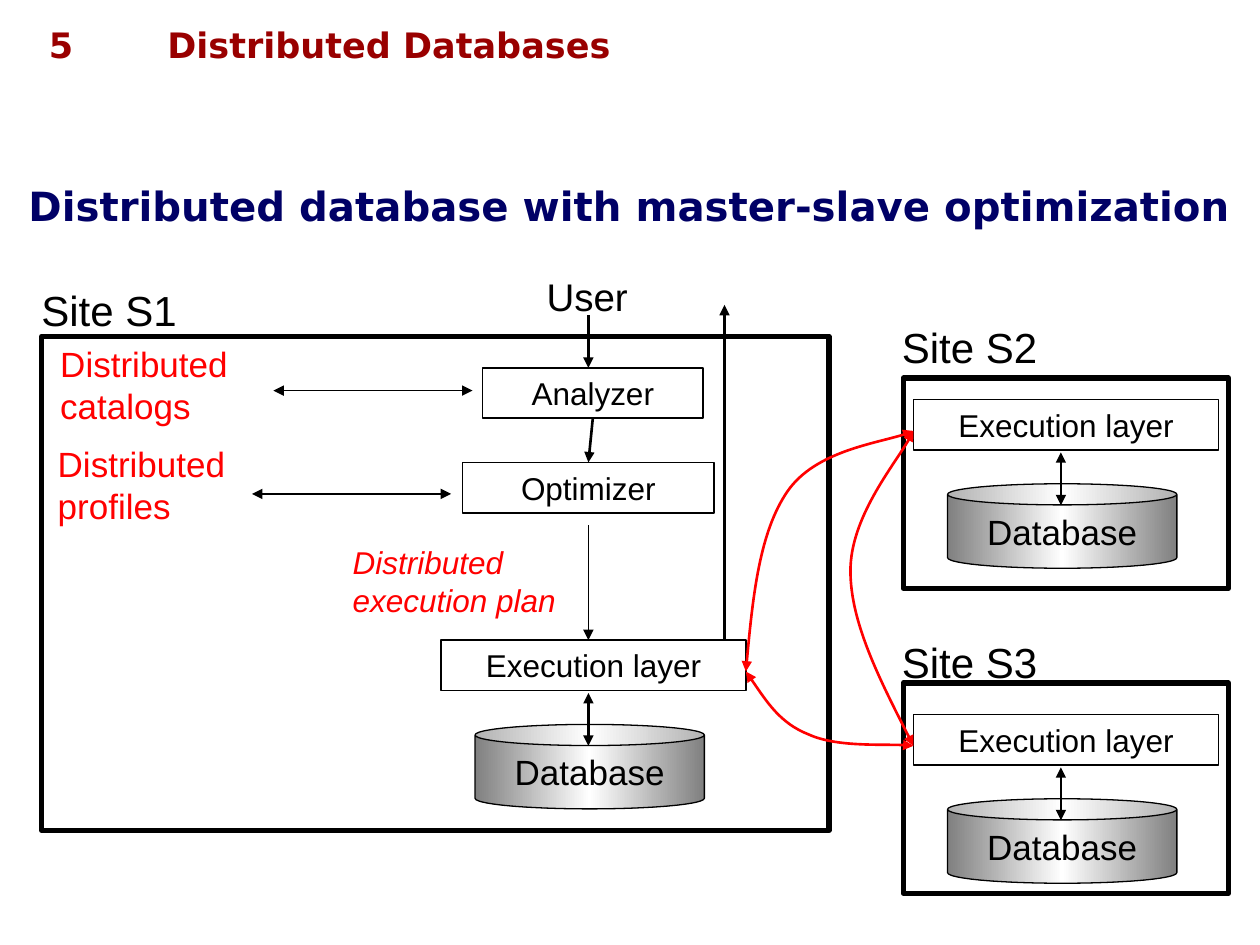
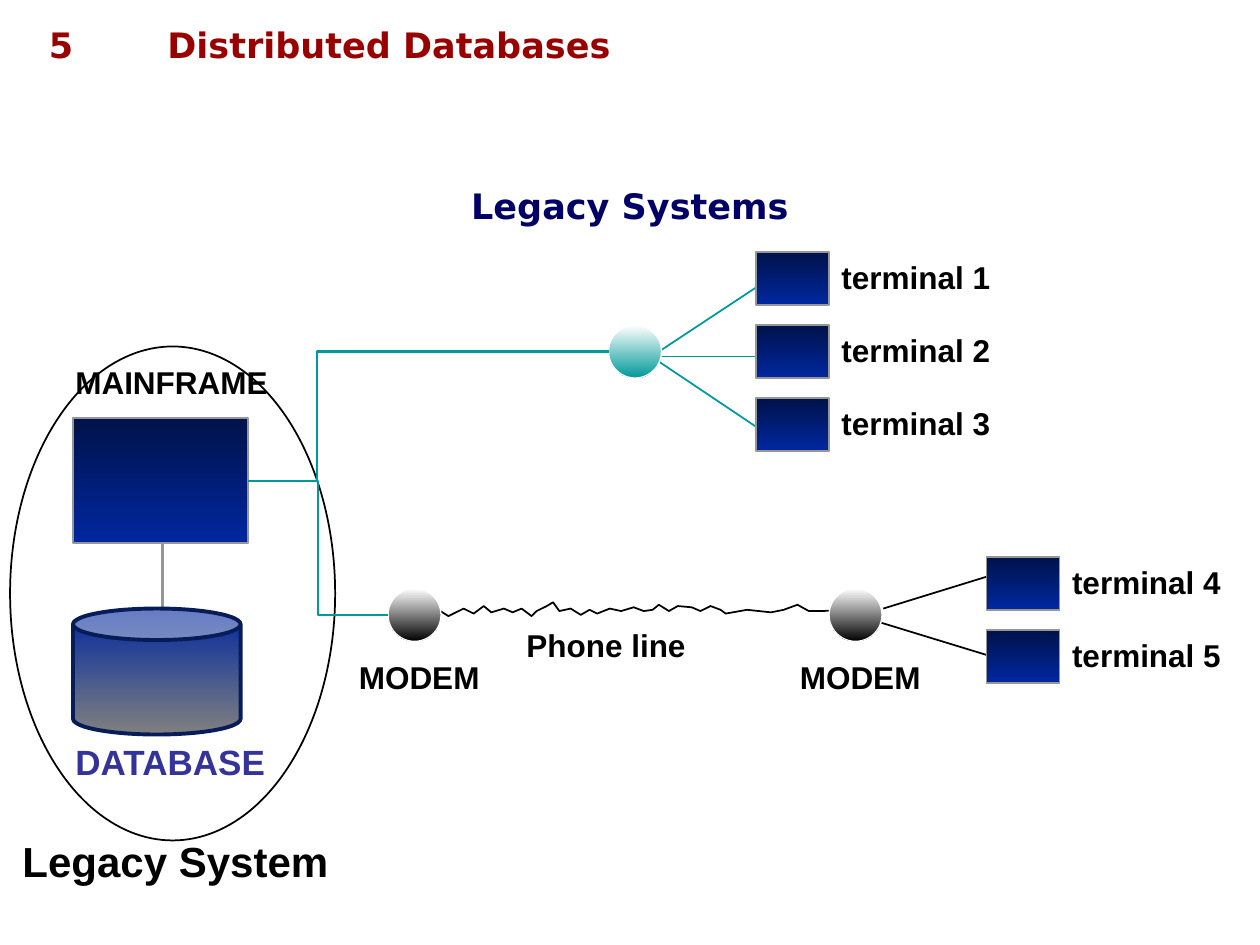
from dataclasses import dataclass

from lxml.etree import SubElement
from pptx import Presentation
from pptx.dml.color import RGBColor
from pptx.enum.shapes import MSO_CONNECTOR as Link, MSO_SHAPE as Preset
from pptx.enum.text import MSO_ANCHOR as Anchor, MSO_AUTO_SIZE as AutoSize, PP_ALIGN as Align
from pptx.oxml.ns import qn
from pptx.util import Inches, Pt


@dataclass(frozen=True)
class Theme:
    heading_font: str = "DejaVu Sans"
    body_font: str = "Arial"
    black: str = "000000"
    white: str = "FFFFFF"
    red: str = "FF0000"
    maroon: str = "990000"
    navy: str = "000066"
    indigo: str = "333399"
    teal: str = "009999"
    grey: str = "969696"
    deep_blue: str = "081D58"
    steel: tuple = ("808080", "FFFFFF", "808080")
    screen: tuple = ("00124A", "00279F")
    storage: tuple = ("00279F", "808080")
    label: int = 18
    note: int = 20
    user: int = 22
    long_title: int = 23
    site: int = 24
    hairline: float = 0.75
    thin: float = 1
    link: float = 1.25
    flow: float = 1.5
    disk: float = 2.25
    frame: float = 3


THEME = Theme()
EXECUTION_SIZE = (2.42, 0.4)
TERMINAL_SIZE = (0.58, 0.42)
NODE_SIZE = (0.42, 0.42)
TERMINAL_STEP = 0.58


class Deck:
    def __init__(self, theme):
        self.theme = theme
        self.file = Presentation()
        self.file.slide_width, self.file.slide_height = Inches(10), Inches(7.5)
        self.slide = None

    def add_slide(self, title, size):
        self.slide = self.file.slides.add_slide(self.file.slide_layouts[5])
        heading = dict(name=self.theme.heading_font, bold=True)
        chapter = dict(heading, color=self.theme.maroon, size=self.theme.note)
        self.text("Distributed Databases", 1.23, 0.14, 8.51, 0.44, **chapter)
        self.text("5", 0.13, 0.14, 0.71, 0.44, align=Align.CENTER, **chapter)
        holder = self.slide.shapes.title
        holder.left, holder.top = Inches(0), Inches(1.48)
        holder.width, holder.height = Inches(10), Inches(0.3)
        self.set_words(holder, title, align=Align.CENTER, anchor=Anchor.MIDDLE,
                       margins=(0, 0), color=self.theme.navy, size=size, **heading)

    def set_words(self, shape, words, align=Align.LEFT, anchor=Anchor.TOP,
                  margins=(0.1, 0.05), color=None, size=None, **font):
        side, edge = map(Inches, margins)
        frame_format = dict(word_wrap=True, auto_size=AutoSize.NONE, vertical_anchor=anchor,
                            margin_left=side, margin_right=side,
                            margin_top=edge, margin_bottom=edge)
        for name, value in frame_format.items():
            setattr(shape.text_frame, name, value)
        paragraph = shape.text_frame.paragraphs[0]
        paragraph.text, paragraph.alignment = words, align
        font_format = dict(name=self.theme.body_font, size=Pt(size or self.theme.label),
                           bold=False, italic=False) | font
        for name, value in font_format.items():
            setattr(paragraph.font, name, value)
        paragraph.font.color.rgb = RGBColor.from_string(color or self.theme.black)

    def text(self, words, left, top, width, height=0.4, **style):
        box = self.slide.shapes.add_textbox(*map(Inches, (left, top, width, height)))
        self.set_words(box, words, **style)

    def stroke(self, shape, color, width, heads=""):
        """Style an outline; heads may name 'head' and 'tail' arrows."""
        shape.line.color.rgb = RGBColor.from_string(color)
        shape.line.width = Pt(width)
        outline = shape.element.spPr.find(qn("a:ln"))
        for end in heads.split():
            SubElement(outline, qn(f"a:{end}End"), type="triangle")

    def gradient(self, shape, colors, angle):
        """Spread the colours evenly along the angle, clockwise."""
        shape.fill.gradient()
        fill = shape.element.spPr.find(qn("a:gradFill"))
        for child in list(fill):
            fill.remove(child)
        stops = SubElement(fill, qn("a:gsLst"))
        for i, color in enumerate(colors):
            stop = SubElement(stops, qn("a:gs"), pos=str(100000 * i // (len(colors) - 1)))
            SubElement(stop, qn("a:srgbClr"), val=color)
        SubElement(fill, qn("a:lin"), ang=str(angle * 60000), scaled="0")

    def shape(self, preset, left, top, width, height, colors=None, angle=90,
              line=None, weight=None, words=None, **style):
        item = self.slide.shapes.add_shape(preset, *map(Inches, (left, top, width, height)))
        item.shadow.inherit = False
        if colors:
            self.gradient(item, colors, angle)
        else:
            item.fill.background()
        self.stroke(item, line or self.theme.black, weight or self.theme.thin)
        if words:
            self.set_words(item, words, align=Align.CENTER, anchor=Anchor.MIDDLE,
                           margins=(0, 0), **style)
        return item

    def connect(self, start, end, color=None, weight=None, heads="", source=None,
                target=None, bend=None):
        """Draw a line; source and target are (shape, side) pairs, bend a share of the width."""
        kind = Link.STRAIGHT if bend is None else Link.ELBOW
        line = self.slide.shapes.add_connector(kind, *map(Inches, (*start, *end)))
        if source:
            line.begin_connect(*source)
        if target:
            line.end_connect(*target)
        self.stroke(line, color or self.theme.black, weight or self.theme.thin, heads)
        properties = line.element.spPr
        SubElement(properties, qn("a:effectLst"))
        if bend is not None:
            guides = properties.find(qn("a:prstGeom")).find(qn("a:avLst"))
            SubElement(guides, qn("a:gd"), name="adj1", fmla=f"val {round(bend * 100000)}")

    def outline(self, points, color, weight, heads="", curved=False):
        """Draw an open line; if curved, each three points after the first make one Bézier."""
        start, *rest = [tuple(map(Inches, point)) for point in points]
        builder = self.slide.shapes.build_freeform(*start)
        builder.add_line_segments(rest, close=False)
        item = builder.convert_to_shape()
        item.shadow.inherit = False
        item.fill.background()
        self.stroke(item, color, weight, heads)
        if curved:
            track = next(item.element.iter(qn("a:path")))
            segments = track.findall(qn("a:lnTo"))
            for i in range(0, len(segments), 3):
                curve = SubElement(track, qn("a:cubicBezTo"))
                for segment in segments[i:i + 3]:
                    curve.append(segment[0])
                    track.remove(segment)

    def execution_stack(self, left, top):
        """Execution layer above its database."""
        theme = self.theme
        self.shape(Preset.CAN, left + 0.27, top + 0.67, 1.82, 0.67, theme.steel, 0,
                   weight=theme.hairline, words="Database", size=theme.note)
        self.shape(Preset.RECTANGLE, left, top, *EXECUTION_SIZE, words="Execution layer")
        self.connect((left + 1.17, top + 0.42), (left + 1.17, top + 0.84),
                     weight=theme.flow, heads="head tail")

    def site(self, name, label_at, frame, stack_at):
        self.execution_stack(*stack_at)
        self.shape(Preset.RECTANGLE, *frame, weight=self.theme.frame)
        self.text(name, *label_at, 1.5, 0.5, size=self.theme.site)

    def terminal(self, number, left, top):
        self.shape(Preset.RECTANGLE, left, top, *TERMINAL_SIZE, self.theme.screen,
                   line=self.theme.grey)
        self.text(f"terminal {number}", left + 0.58, top, 1.55, bold=True)

    def node(self, left, top, color):
        self.shape(Preset.OVAL, left, top, *NODE_SIZE, (self.theme.white, color),
                   line=self.theme.white, weight=self.theme.hairline)


def build_master_slave(deck):
    theme = deck.theme
    deck.add_slide("Distributed database with master-slave optimization", theme.long_title)
    deck.connect((5.75, 5.08), (5.75, 2.42), weight=theme.flow, heads="tail")
    deck.text("User", 4.24, 2.12, 1, 0.47, size=theme.user)

    deck.site("Site S1", (0.23, 2.21), (0.33, 2.67, 6.25, 3.92), (3.5, 5.08))
    for name, frame_top, stack_top in (("Site S2", 3, 3.17), ("Site S3", 5.42, 5.67)):
        deck.site(name, (7.06, stack_top - 0.67), (7.17, frame_top, 2.58, 1.67),
                  (7.25, stack_top))

    optimizer = deck.shape(Preset.RECTANGLE, 3.67, 3.67, 2, 0.4, words="Optimizer")
    analyzer = deck.shape(Preset.RECTANGLE, 3.83, 2.92, 1.75, 0.4, words="Analyzer")
    deck.connect((4.71, 3.32), (4.67, 3.67), weight=theme.flow, heads="tail",
                 source=(analyzer, 2), target=(optimizer, 0))
    deck.connect((4.67, 2.5), (4.67, 2.92), weight=theme.flow, heads="tail")
    deck.connect((4.67, 4.17), (4.67, 5.08), weight=theme.hairline, heads="tail")
    for left, y in ((2.17, 3.1), (2, 3.92)):
        deck.connect((left, y), (left + 1.58, y), weight=theme.hairline, heads="head tail")

    s1, s2, s3 = (5.92, 5.33), (7.25, 3.42), (7.25, 5.92)
    exchanges = (
        (s1, (6.06, 5.53), (6.19, 5.74), (6.42, 5.83), (6.64, 5.93), (7.11, 5.9), s3),
        (s3, (7, 5.43), (6.75, 4.94), (6.75, 4.53), (6.75, 4.11), (7.17, 3.6), s2),
        (s1, (5.97, 4.77), (6.03, 4.22), (6.25, 3.9), (6.47, 3.58), (7.08, 3.5), s2),
    )
    for exchange in exchanges:
        deck.outline(exchange, theme.red, theme.flow, "head tail", curved=True)

    deck.text("Distributed execution plan", 2.7, 4.26, 2.29, 0.7, color=theme.red, italic=True)
    for words, left, top in (("Distributed catalogs", 0.38, 2.67),
                             ("Distributed profiles", 0.36, 3.46)):
        deck.text(words, left, top, 2.04, 0.77, color=theme.red, size=theme.note)


def build_legacy_systems(deck):
    theme = deck.theme
    deck.add_slide("Legacy Systems", theme.note)
    deck.shape(Preset.OVAL, 0.08, 2.75, 2.58, 3.92)
    deck.text("Legacy System", 0.08, 6.58, 3.42, 0.5, size=theme.site, bold=True)

    for start, end in (((6.92, 4.92), (8, 5.25)), ((7.01, 4.83), (8.08, 4.5))):
        deck.connect(start, end)
    for end in ((6.17, 2.17), (6.42, 2.83), (6.17, 3.5)):
        deck.connect((5.17, 2.83), end, theme.teal)
    phone_line = (
        (3.21, 4.87), (3.26, 4.9), (3.34, 4.87), (3.44, 4.84), (3.48, 4.84), (3.56, 4.89),
        (3.68, 4.83), (3.76, 4.87), (3.84, 4.81), (3.9, 4.86), (4, 4.83), (4.07, 4.86),
        (4.14, 4.83), (4.22, 4.89), (4.26, 4.85), (4.34, 4.81), (4.39, 4.78), (4.44, 4.85),
        (4.53, 4.83), (4.61, 4.88), (4.68, 4.84), (4.74, 4.87), (4.84, 4.83), (4.93, 4.85),
        (5.03, 4.82), (5.11, 4.85), (5.18, 4.84), (5.23, 4.8), (5.31, 4.85), (5.38, 4.81),
        (5.49, 4.82), (5.56, 4.85), (5.64, 4.81), (5.72, 4.84), (5.76, 4.87), (5.93, 4.84),
        (6.12, 4.86), (6.22, 4.84), (6.33, 4.8), (6.42, 4.85), (6.53, 4.85), (6.67, 4.84),
    )
    deck.outline(phone_line, theme.black, theme.thin)

    deck.node(4.83, 2.58, theme.teal)
    for left in (3.08, 6.58):
        deck.node(left, 4.67, theme.black)
        deck.text("MODEM", left - 0.33, 5.17, 1.34, bold=True)

    deck.connect((1.29, 3.58), (1.29, 4.98), theme.grey, theme.link)
    mainframe = deck.shape(Preset.RECTANGLE, 0.58, 3.32, 1.39, 0.99, theme.screen,
                           line=theme.grey)
    for end, bend in (((4.83, 2.79), 0.19), ((3.08, 4.88), 0.5)):
        deck.connect((1.97, 3.82), end, theme.teal, theme.link,
                     source=(mainframe, 3), bend=bend)

    for first, count, left, top in ((1, 3, 6, 2), (4, 2, 7.83, 4.42)):
        for i in range(count):
            deck.terminal(first + i, left, top + i * TERMINAL_STEP)

    deck.text("MAINFRAME", 0.5, 2.83, 2.2, bold=True)
    deck.text("DATABASE", 0.5, 5.83, 1.75, 0.43, color=theme.indigo, size=theme.note, bold=True)
    deck.text("Phone line", 4.08, 4.92, 2.7, bold=True)
    deck.shape(Preset.CAN, 0.58, 4.83, 1.33, 1, theme.storage,
               line=theme.deep_blue, weight=theme.disk)


def main():
    deck = Deck(THEME)
    build_master_slave(deck)
    build_legacy_systems(deck)
    deck.file.save("out.pptx")


if __name__ == "__main__":
    main()
